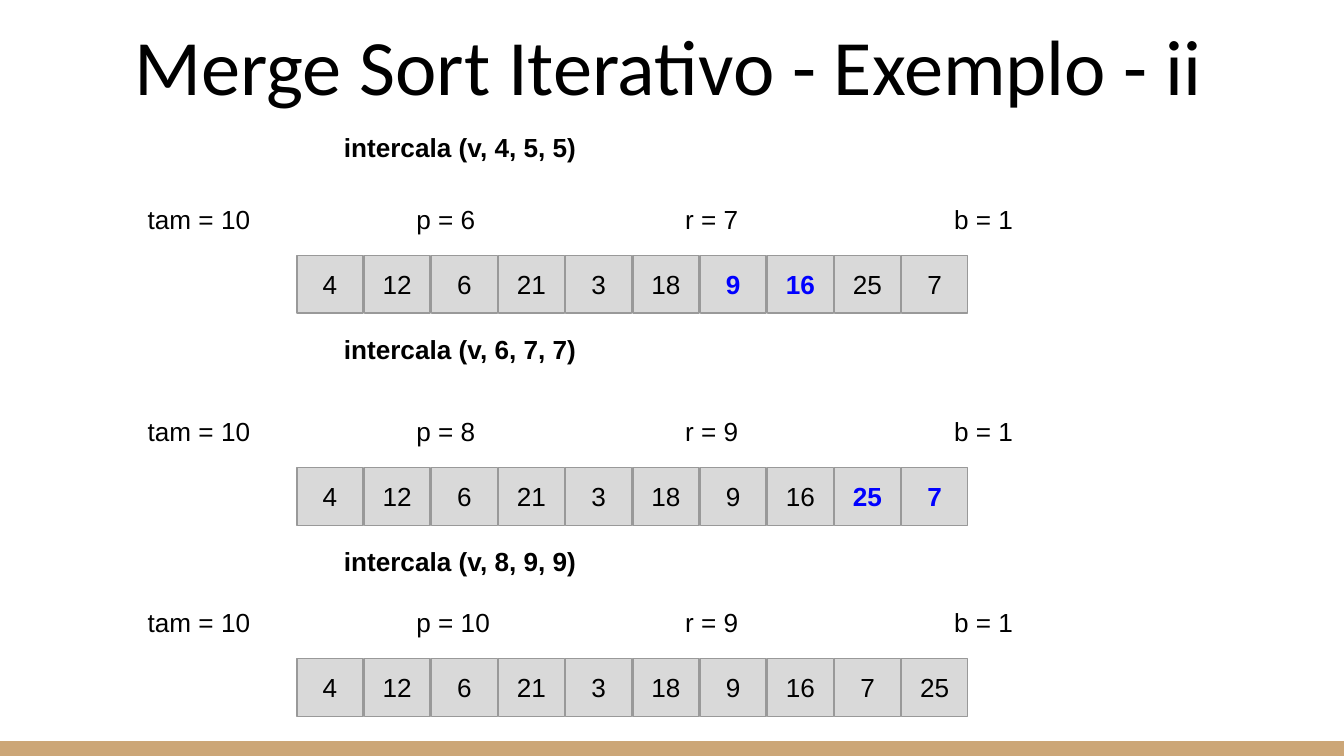
from lxml import etree
from pptx import Presentation
from pptx.dml.color import RGBColor
from pptx.enum.shapes import MSO_SHAPE
from pptx.enum.text import MSO_ANCHOR, MSO_AUTO_SIZE, PP_ALIGN
from pptx.oxml.ns import qn
from pptx.util import Inches, Pt

RECT = MSO_SHAPE.RECTANGLE
TOP, MIDDLE, BOTTOM = MSO_ANCHOR.TOP, MSO_ANCHOR.MIDDLE, MSO_ANCHOR.BOTTOM
LEFT, CENTER = PP_ALIGN.LEFT, PP_ALIGN.CENTER
FIXED = MSO_AUTO_SIZE.NONE

WIDTH = 10
HEIGHT = WIDTH * 9 / 16
BAR = 0.11
GRID, STEP, SIDE, TALL = 2.21, 0.5, 0.49, 0.43
BLACK, BLUE, GREY, EDGE, TAN = "000000", "0000FF", "D9D9D9", "999999", "CCA677"

STEPS = [
    (0.88, "4, 5, 5", 1.9, (6, 7), [4, 12, 6, 21, 3, 18, 9, 16, 25, 7], (6, 7)),
    (2.38, "6, 7, 7", 3.48, (8, 9), [4, 12, 6, 21, 3, 18, 9, 16, 25, 7], (8, 9)),
    (3.96, "8, 9, 9", 4.9, (10, 9), [4, 12, 6, 21, 3, 18, 9, 16, 7, 25], ()),
]


def color(code):
    """Turn a hex string into a colour."""
    return RGBColor.from_string(code)


def box(*sizes):
    """Turn sizes in inches into lengths."""
    return [Inches(size) for size in sizes]


def write(shape, text, size=14, face="Arial", tint=BLACK, bold=False,
          align=LEFT, anchor=MIDDLE):
    """Fill a shape with one formatted paragraph and return the paragraph."""
    frame = shape.text_frame
    frame.word_wrap = True
    frame.auto_size = FIXED
    frame.vertical_anchor = anchor
    frame.margin_left = frame.margin_right = Inches(0.1)
    frame.margin_top = frame.margin_bottom = Inches(0.1)
    para = frame.paragraphs[0]
    para.text = text
    para.alignment = align
    font = para.font
    font.size, font.name, font.bold = Pt(size), face, bold
    font.color.rgb = color(tint)
    return para


def add_title(slide, text):
    """Place the slide title."""
    title = slide.shapes.title
    title.left, title.top, title.width, title.height = box(0.9, 0.16, 8.21, 0.77)
    write(title, text, 42, "Calibri", anchor=BOTTOM)


def add_rect(slide, place, fill):
    """Draw a plain filled rectangle."""
    rect = slide.shapes.add_shape(RECT, *box(*place))
    rect.shadow.inherit = False
    rect.fill.solid()
    rect.fill.fore_color.rgb = color(fill)
    rect.line.fill.background()
    return rect


def add_array(slide, top, values, marked):
    """Draw a row of cells with the marked indexes in blue."""
    for col, value in enumerate(values):
        cell = add_rect(slide, (GRID + col * STEP, top, SIDE, TALL), GREY)
        cell.line.color.rgb = color(EDGE)
        cell.line.width = Pt(0.75)
        hot = col in marked
        write(cell, str(value), tint=BLUE if hot else BLACK, bold=hot, align=CENTER)


def add_call(slide, top, args):
    """Write the call of the merge function."""
    label = slide.shapes.add_textbox(*box(2.46, top, 4.45, TALL))
    write(label, f"intercala (v, {args})", bold=True)


def add_state(slide, top, p, r):
    """Write the variables on tab stops one inch apart."""
    label = slide.shapes.add_textbox(*box(1, top, 8.02, 0.59))
    text = f"tam = 10\t\tp = {p}\t\tr = {r}\t\tb = 1"
    para = write(label, text, anchor=TOP)
    tabs = etree.Element(qn("a:tabLst"))
    for inch in range(1, 7):
        etree.SubElement(tabs, qn("a:tab"), pos=str(Inches(inch)), algn="l")
    para._p.get_or_add_pPr().insert(0, tabs)


def main():
    """Build and save the slide."""
    deck = Presentation()
    deck.slide_width, deck.slide_height = box(WIDTH, HEIGHT)
    slide = deck.slides.add_slide(deck.slide_layouts[5])
    add_rect(slide, (0, HEIGHT - BAR, WIDTH, BAR), TAN)
    add_title(slide, "Merge Sort Iterativo - Exemplo - ii")
    for call_top, args, top, state, values, marked in STEPS:
        add_call(slide, call_top, args)
        add_array(slide, top, values, marked)
        add_state(slide, top - 0.49, *state)
    deck.save("out.pptx")


if __name__ == "__main__":
    main()
